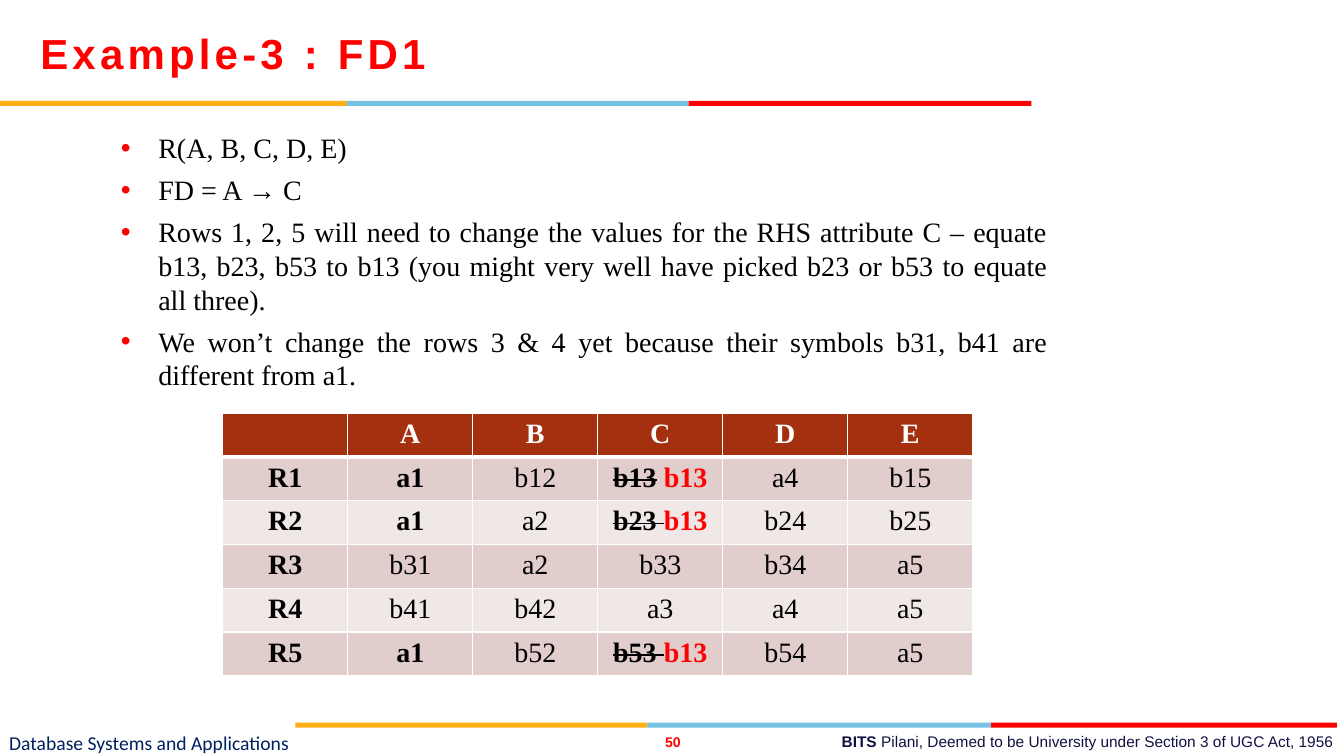
import pptx
import pptx.util
import pptx.dml.color
import pptx.enum.shapes
import pptx.enum.text
import pptx.oxml.ns
from lxml import etree

Inches, Pt = pptx.util.Inches, pptx.util.Pt
ALIGN = pptx.enum.text.PP_ALIGN
ANCHOR = pptx.enum.text.MSO_ANCHOR

COLOURS = {
    "red": "FF0000", "amber": "FCB017", "sky": "76C2E5", "navy": "002060",
    "ink": "101141", "black": "000000", "white": "FFFFFF",
    "header": "A53010", "odd": "E1CDCC", "even": "F0E8E7",
}
SERIF = "Times New Roman"
TITLE = "Example-3 : FD1"
COURSE = "Database Systems and Applications"
PAGE = "50"
CREDIT = [("BITS ", True), ("Pilani, Deemed to be University under Section 3 of UGC Act, 1956", False)]
POINTS = [
    "R(A, B, C, D, E)",
    "FD = A → C",
    "Rows 1, 2, 5 will need to change the values for the RHS attribute C – equate b13, b23, b53 "
    "to b13 (you might very well have picked b23 or b53 to equate all three).",
    "We won’t change the rows 3 & 4 yet because their symbols b31, b41 are different from a1.",
]
TABLEAU = [
    ["", "A", "B", "C", "D", "E"],
    ["R1", "a1", "b12", ("b13", " ", "b13"), "a4", "b15"],
    ["R2", "a1", "a2", ("b23 ", "", "b13"), "b24", "b25"],
    ["R3", "b31", "a2", "b33", "b34", "a5"],
    ["R4", "b41", "b42", "a3", "a4", "a5"],
    ["R5", "a1", "b52", ("b53 ", "", "b13"), "b54", "a5"],
]
STRIPES = [
    (1, [0, 3.44, 6.83, 10.23]),
    (7.17, [2.93, 6.42, 9.83, 13.26]),
]
STRIPE_COLOURS = ["amber", "sky", "red"]
STRIPE_HEIGHT = 0.05
COLUMN_WIDTH, ROW_HEIGHT = 1.24, 0.41


def rgb(name):
    return pptx.dml.color.RGBColor.from_string(COLOURS[name])


def set_font(font, name, size, colour, bold=False):
    font.name, font.size, font.bold = name, Pt(size), bold
    font.color.rgb = rgb(colour)


def add_child(parent, tag, **attributes):
    return etree.SubElement(parent, pptx.oxml.ns.qn(tag), attributes)


def add_text_frame(slide, box, anchor, margins=(0, 0), wrap=True):
    frame = slide.shapes.add_textbox(*map(Inches, box)).text_frame
    frame.word_wrap = wrap
    frame.vertical_anchor = anchor
    frame.margin_left = frame.margin_right = Inches(margins[0])
    frame.margin_top = frame.margin_bottom = Inches(margins[1])
    return frame


def add_line(slide, box, text, name, size, colour, bold=False, align=ALIGN.LEFT):
    paragraph = add_text_frame(slide, box, ANCHOR.MIDDLE).paragraphs[0]
    run = paragraph.add_run()
    run.text = text
    paragraph.alignment = align
    set_font(paragraph.font, name, size, colour, bold)
    return run


def add_stripes(slide):
    for top, edges in STRIPES:
        for left, right, colour in zip(edges, edges[1:], STRIPE_COLOURS):
            box = (left, top, right - left, STRIPE_HEIGHT)
            stripe = slide.shapes.add_shape(pptx.enum.shapes.MSO_SHAPE.RECTANGLE, *map(Inches, box))
            stripe.shadow.inherit = False
            stripe.fill.solid()
            stripe.fill.fore_color.rgb = rgb(colour)
            stripe.line.fill.background()


def add_footer(slide):
    add_line(slide, (0.09, 7.23, 4.96, 0.27), COURSE, "Calibri", 14, "navy")
    add_line(slide, (6.51, 7.28, 0.33, 0.17), PAGE, "Arial", 10, "red", True, ALIGN.CENTER)
    credit = add_text_frame(slide, (8.03, 7.21, 5.3, 0.29), ANCHOR.TOP, (0.1, 0.05), False)
    paragraph = credit.paragraphs[0]
    paragraph.alignment = ALIGN.RIGHT
    for text, bold in CREDIT:
        run = paragraph.add_run()
        run.text = text
        set_font(run.font, "Arial", 11, "ink", bold)


def add_points(slide):
    frame = add_text_frame(slide, (1.2, 1.25, 9.19, 2.8), ANCHOR.TOP, (0, 0.05))
    for index, text in enumerate(POINTS):
        paragraph = frame.paragraphs[0] if index == 0 else frame.add_paragraph()
        paragraph.text = text
        paragraph.alignment = ALIGN.JUSTIFY
        if index:
            paragraph.space_before = Pt(6)
        properties = paragraph._p.get_or_add_pPr()
        properties.set("marL", str(Inches(0.37)))
        properties.set("indent", str(-Inches(0.37)))
        add_child(add_child(properties, "a:buClr"), "a:srgbClr", val=COLOURS["red"])
        add_child(properties, "a:buFont", typeface="Arial")
        add_child(properties, "a:buChar", char="•")
        set_font(paragraph.font, SERIF, 20, "black")


def style_cell(cell, row):
    fill = "header" if row == 0 else "odd" if row % 2 else "even"
    properties = cell._tc.get_or_add_tcPr()
    widths = {"a:lnL": 1, "a:lnR": 1, "a:lnT": 3 if row == 1 else 1, "a:lnB": 3 if row == 0 else 1}
    for tag, width in widths.items():
        border = add_child(properties, tag, w=str(Pt(width)))
        add_child(add_child(border, "a:solidFill"), "a:srgbClr", val=COLOURS["white"])
    cell.fill.solid()
    cell.fill.fore_color.rgb = rgb(fill)


def fill_cell(cell, content, row, column):
    paragraph = cell.text_frame.paragraphs[0]
    paragraph.alignment = ALIGN.CENTER
    colour = "black" if row else "white"
    if isinstance(content, str):
        paragraph.text = content
        set_font(paragraph.font, SERIF, 20, colour, row == 0 or column == 0 or content == "a1")
        return
    old, gap, new = content
    for text, run_colour, struck in [(old, colour, True), (gap, colour, False), (new, "red", False)]:
        if text:
            run = paragraph.add_run()
            run.text = text
            set_font(run.font, SERIF, 20, run_colour, True)
            if struck:
                run.font._element.set("strike", "sngStrike")


def add_tableau(slide):
    rows, columns = len(TABLEAU), len(TABLEAU[0])
    size = (columns * COLUMN_WIDTH, rows * ROW_HEIGHT)
    table = slide.shapes.add_table(rows, columns, *map(Inches, (2.21, 4.1, *size))).table
    for row, contents in enumerate(TABLEAU):
        for column, content in enumerate(contents):
            cell = table.cell(row, column)
            style_cell(cell, row)
            fill_cell(cell, content, row, column)


def main():
    presentation = pptx.Presentation()
    presentation.slide_width, presentation.slide_height = Inches(13.33), Inches(7.5)
    slide = presentation.slides.add_slide(presentation.slide_layouts[6])
    add_stripes(slide)
    add_footer(slide)
    title = add_line(slide, (0.4, 0.1, 9.99, 0.85), TITLE, "Arial", 30, "red", True)
    title.font._element.set("spc", "300")
    add_points(slide)
    add_tableau(slide)
    presentation.save("out.pptx")


if __name__ == "__main__":
    main()
